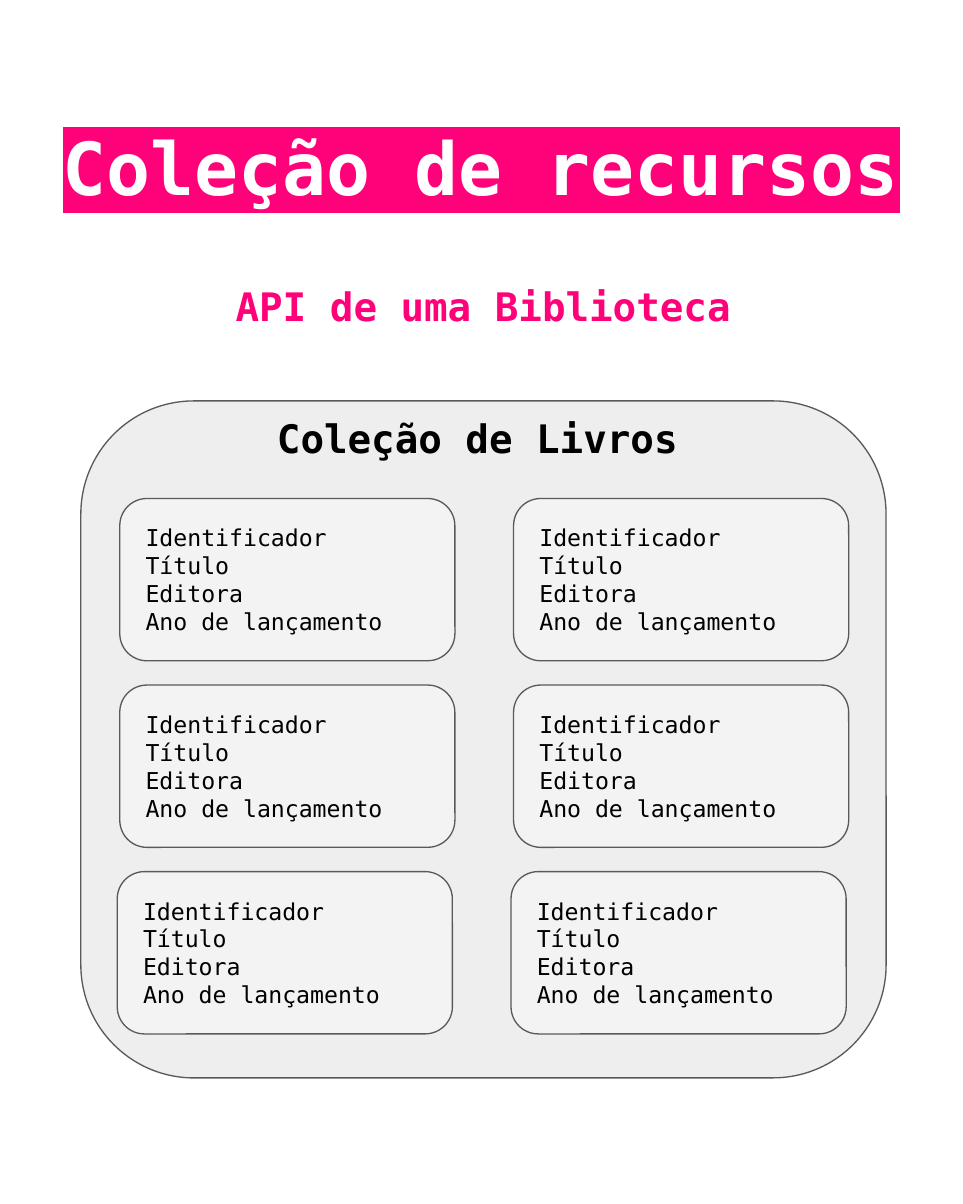
from lxml import etree
from pptx import Presentation
from pptx.dml.color import RGBColor
from pptx.enum.shapes import MSO_SHAPE
from pptx.enum.text import MSO_ANCHOR, PP_ALIGN
from pptx.oxml.ns import qn
from pptx.util import Cm, Pt

ROUNDED = MSO_SHAPE.ROUNDED_RECTANGLE
TOP, MIDDLE = MSO_ANCHOR.TOP, MSO_ANCHOR.MIDDLE
LEFT, CENTER = PP_ALIGN.LEFT, PP_ALIGN.CENTER
FONT = "DejaVu Sans Mono"
SLIDE_WIDTH = 19.05
SLIDE_RATIO = 1.25
COLORS = {
    "pink": "FF0178",
    "white": "FFFFFF",
    "black": "000000",
    "panel": "EEEEEE",
    "card": "F3F3F3",
    "outline": "595959",
}
BOOK_FIELDS = ["Identificador", "Título", "Editora", "Ano de lançamento"]
ROW_SHIFTS = [0, 0, -0.05]


def color(name):
    """Return the named palette colour."""
    return RGBColor.from_string(COLORS[name])


def add_rounded_box(page, box, fill):
    """Draw an outlined rounded rectangle in the given box."""
    shape = page.shapes.add_shape(ROUNDED, *map(Cm, box))
    shape.adjustments[0] = 0.167
    shape.shadow.inherit = False
    shape.fill.solid()
    shape.fill.fore_color.rgb = color(fill)
    shape.line.color.rgb = color("outline")
    shape.line.width = Pt(0.75)


def highlight(span, name):
    """Put a highlight colour behind a run that has a font colour."""
    mark = etree.Element(qn("a:highlight"))
    etree.SubElement(mark, qn("a:srgbClr")).set("val", COLORS[name])
    span.font.fill._xPr.find(qn("a:solidFill")).addnext(mark)


def add_text(page, box, lines, size, ink, bold=True, align=LEFT,
             anchor=TOP, inset=0.25, marker=None):
    """Write lines as one paragraph in the given box."""
    frame = page.shapes.add_textbox(*map(Cm, box)).text_frame
    frame.word_wrap = True
    frame.vertical_anchor = anchor
    frame.margin_left = frame.margin_right = Cm(inset)
    frame.margin_top = frame.margin_bottom = Cm(inset)
    para = frame.paragraphs[0]
    para.alignment = align
    for index, line in enumerate(lines):
        if index:
            para.add_line_break()
        span = para.add_run()
        span.text = line
        span.font.size = Pt(size)
        span.font.name = FONT
        span.font.bold = bold
        span.font.color.rgb = color(ink)
        if marker:
            highlight(span, marker)


def add_header(page, box):
    """Place the highlighted title and the subtitle."""
    left, top, width, _ = box
    add_text(page, (left, top, width, 2.67), ["Coleção de recursos"], 41,
             "white", align=CENTER, anchor=MIDDLE, inset=0.2, marker="pink")
    add_text(page, (left + 0.49, top + 3.39, width - 0.91, 1.45),
             ["API de uma Biblioteca"], 22, "pink", align=CENTER)


def add_book_card(page, box):
    """Place one card listing the fields of a book."""
    left, top, width, height = box
    add_rounded_box(page, box, "card")
    add_text(page, (left + 0.26, top + 0.25, width - 0.51, height - 0.46),
             BOOK_FIELDS, 13, "black", bold=False)


def add_collection(page, box):
    """Place the panel, its heading and the grid of book cards."""
    left, top, _, _ = box
    add_rounded_box(page, box, "panel")
    add_text(page, (left + 3.63, top + 0.01, 8.66, 1.45),
             ["Coleção de Livros"], 22, "black")
    for row, shift in enumerate(ROW_SHIFTS):
        for column in range(2):
            add_book_card(page, (left + 0.77 + shift + column * 7.79,
                                 top + 1.93 + row * 3.69, 6.63, 3.21))


def main():
    """Build the slide and save the deck."""
    deck = Presentation()
    deck.slide_width = Cm(SLIDE_WIDTH)
    deck.slide_height = Cm(SLIDE_WIDTH * SLIDE_RATIO)
    page = deck.slides.add_slide(deck.slide_layouts[6])
    page.background.fill.solid()
    page.background.fill.fore_color.rgb = color("white")
    add_header(page, (0, 1.95, SLIDE_WIDTH, 4.84))
    add_collection(page, (1.6, 7.93, 15.93, 13.39))
    deck.save("out.pptx")


if __name__ == "__main__":
    main()
